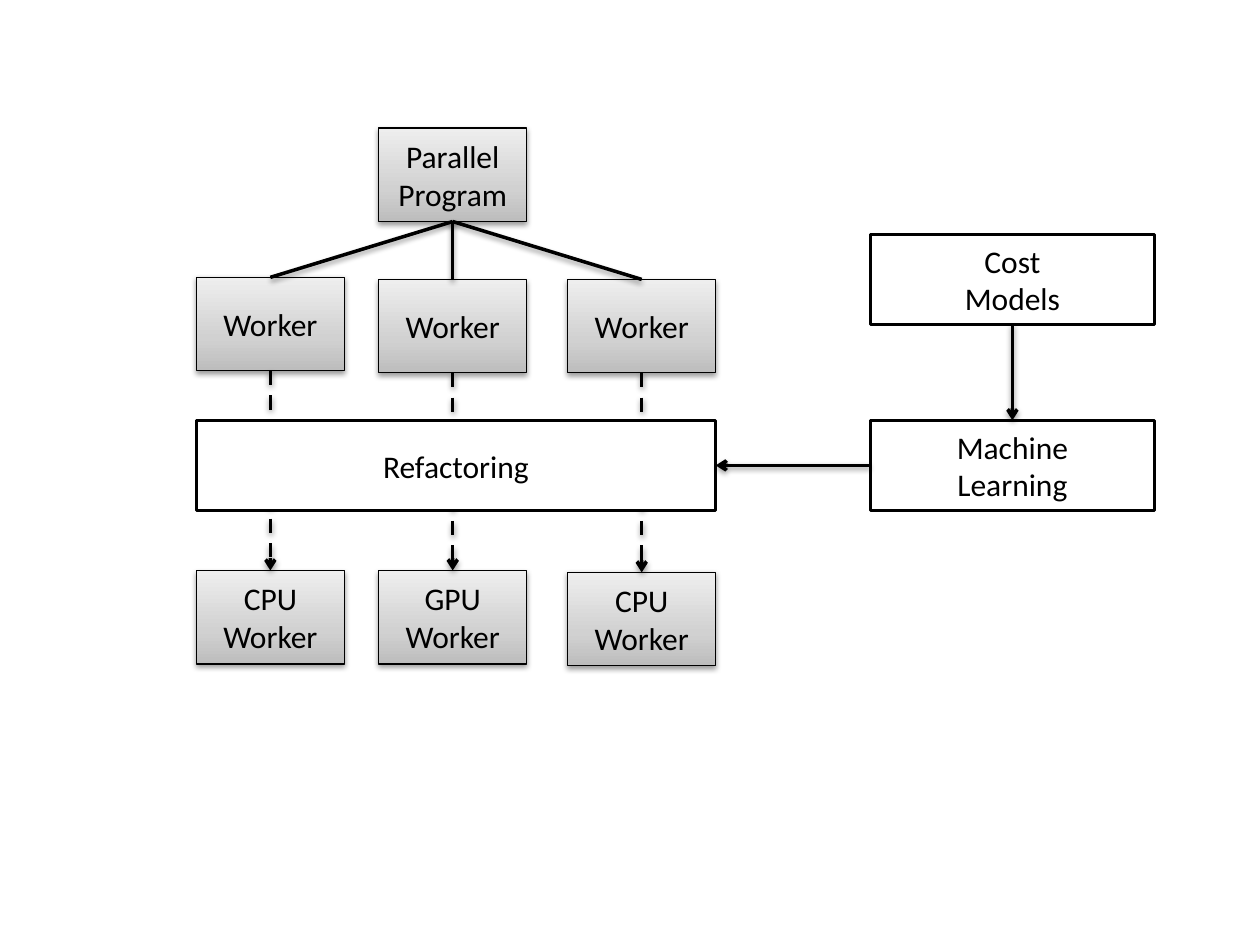
from copy import deepcopy

from lxml import etree
from pptx import Presentation
from pptx.dml.color import RGBColor
from pptx.enum.dml import MSO_LINE
from pptx.enum.shapes import MSO_CONNECTOR, MSO_SHAPE
from pptx.enum.text import MSO_ANCHOR, PP_ALIGN
from pptx.oxml.ns import qn
from pptx.util import Pt

RECTANGLE = MSO_SHAPE.RECTANGLE
STRAIGHT = MSO_CONNECTOR.STRAIGHT
DASH = MSO_LINE.DASH
MIDDLE = MSO_ANCHOR.MIDDLE
CENTER = PP_ALIGN.CENTER

BLACK = RGBColor(0x00, 0x00, 0x00)
WHITE = RGBColor(0xFF, 0xFF, 0xFF)
GRAY_STOPS = (
    (0, RGBColor(0xBD, 0xBD, 0xBD)),
    (0.35, RGBColor(0xD1, 0xD1, 0xD1)),
    (1, RGBColor(0xEE, 0xEE, 0xEE)),
)

TOP, LEFT, BOTTOM, RIGHT = range(4)


class Diagram:
    font_format = {"name": "Calibri", "size": Pt(18)}
    frame_format = {"word_wrap": True, "vertical_anchor": MIDDLE}
    thin, thick = Pt(0.75), Pt(2)

    def __init__(self, slide):
        self.slide = slide

    def apply(self, target, values):
        for name, value in values.items():
            setattr(target, name, value)

    def outline(self, line, width):
        line.width = width
        line.color.rgb = BLACK

    def cast_shadow(self, effects):
        shadow = etree.SubElement(
            effects, qn("a:outerShdw"), blurRad="40000", dist="20000",
            dir="5400000", rotWithShape="0")
        color = etree.SubElement(shadow, qn("a:srgbClr"), val=str(BLACK))
        etree.SubElement(color, qn("a:alpha"), val="38000")

    def box(self, text, left, top, width, height):
        box = self.slide.shapes.add_shape(
            RECTANGLE, Pt(left), Pt(top), Pt(width), Pt(height))
        box.shadow.inherit = False
        box.fill.solid()
        box.fill.fore_color.rgb = WHITE
        self.outline(box.line, self.thick)
        frame = box.text_frame
        self.apply(frame, self.frame_format)
        frame.text = text
        for paragraph in frame.paragraphs:
            paragraph.alignment = CENTER
            self.apply(paragraph.font, self.font_format)
            paragraph.font.color.rgb = BLACK
        return box

    def shaded_box(self, text, left, top):
        box = self.box(text, left, top, 84.6, 53.4)
        box.line.width = self.thin
        box.fill.gradient()
        box.fill.gradient_angle = 90
        properties = box._element.spPr
        stops = properties.find(".//" + qn("a:gsLst"))
        stops.append(deepcopy(stops[-1]))
        for stop, (position, color) in zip(box.fill.gradient_stops, GRAY_STOPS):
            stop.position = position
            stop.color.rgb = color
        self.cast_shadow(properties.find(qn("a:effectLst")))
        return box

    def link(self, source, source_side, target, target_side, arrow=True, dash=None):
        link = self.slide.shapes.add_connector(STRAIGHT, 0, 0, 0, 0)
        link.begin_connect(source, source_side)
        link.end_connect(target, target_side)
        self.outline(link.line, self.thick)
        if dash:
            link.line.dash_style = dash
        properties = link._element.spPr
        if arrow:
            etree.SubElement(properties.find(qn("a:ln")), qn("a:tailEnd"), type="arrow")
        self.cast_shadow(etree.SubElement(properties, qn("a:effectLst")))


presentation = Presentation()
presentation.slide_width, presentation.slide_height = Pt(720), Pt(540)
diagram = Diagram(presentation.slides.add_slide(presentation.slide_layouts[6]))

COLUMNS = (
    (112.2, 158.5, 326, "CPU"),
    (216.4, 159.7, 326, "GPU"),
    (324.4, 159.7, 327.1, "CPU"),
)
program = diagram.shaded_box("Parallel\nProgram", 216.4, 73.2)
workers = [diagram.shaded_box("Worker", left, top) for left, top, _, _ in COLUMNS]
mapped_workers = [
    diagram.shaded_box(f"{unit}\nWorker", left, top) for left, _, top, unit in COLUMNS]
learning = diagram.box("Machine\nLearning", 497.4, 240.2, 162.3, 51.5)
costs = diagram.box("Cost\nModels", 497.4, 133.9, 162.3, 51.5)

diagram.link(costs, BOTTOM, learning, TOP)
for worker in workers:
    diagram.link(program, BOTTOM, worker, TOP, arrow=False)
for worker, mapped_worker in zip(workers, mapped_workers):
    diagram.link(worker, BOTTOM, mapped_worker, TOP, dash=DASH)

refactoring = diagram.box("Refactoring", 112.2, 240.2, 296.8, 51.5)
diagram.link(learning, LEFT, refactoring, RIGHT)

presentation.save("out.pptx")
